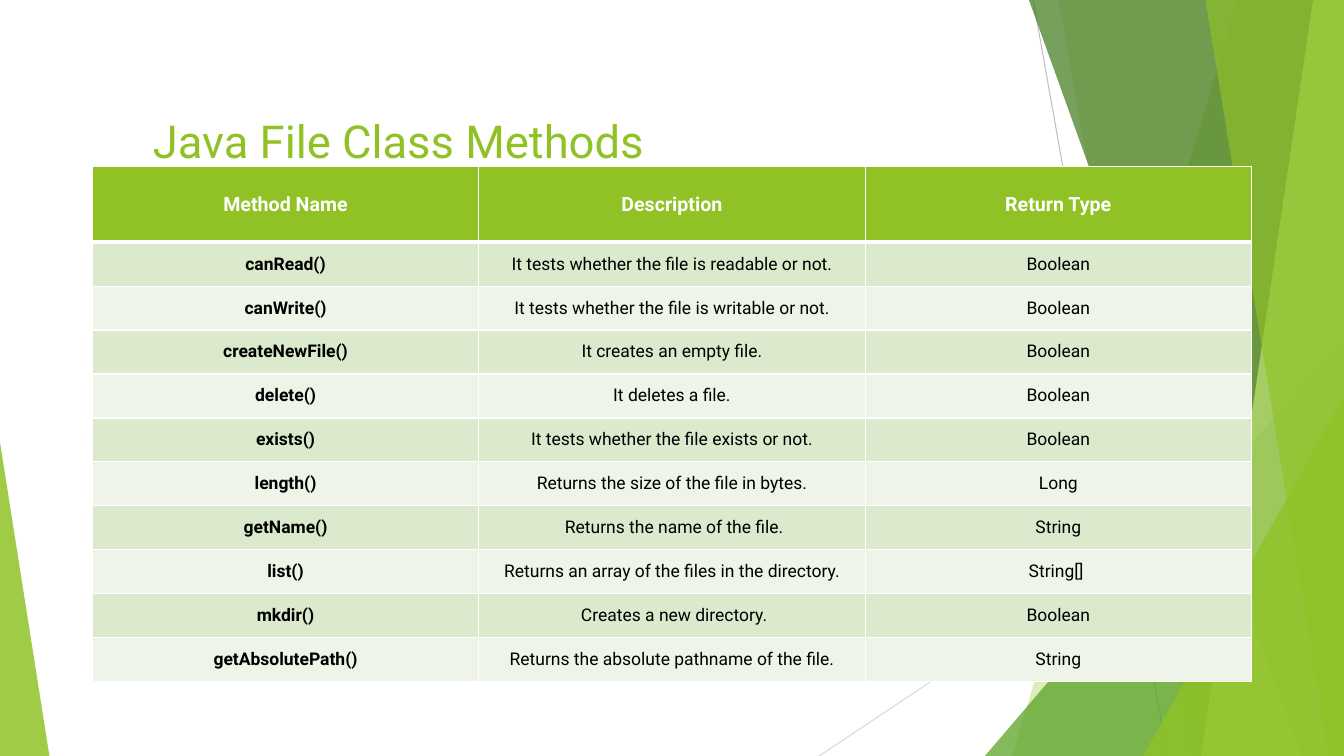
from lxml import etree
from pptx import Presentation
from pptx.dml.color import RGBColor
from pptx.enum.shapes import MSO_CONNECTOR, MSO_SHAPE
from pptx.enum.text import MSO_ANCHOR, MSO_AUTO_SIZE, PP_ALIGN
from pptx.oxml.ns import qn
from pptx.util import Pt

STRAIGHT = MSO_CONNECTOR.STRAIGHT
TRIANGLE = MSO_SHAPE.ISOSCELES_TRIANGLE
TOP, MIDDLE = MSO_ANCHOR.TOP, MSO_ANCHOR.MIDDLE
LEFT, CENTER = PP_ALIGN.LEFT, PP_ALIGN.CENTER
NO_AUTOFIT = MSO_AUTO_SIZE.NONE

WHITE = RGBColor(0xFF, 0xFF, 0xFF)
BLACK = RGBColor(0, 0, 0)
GREEN = RGBColor(0x90, 0xC2, 0x26)
MID_GREEN = RGBColor(0x54, 0xA0, 0x21)
DARK_GREEN = RGBColor(0x3F, 0x78, 0x19)
LIME = RGBColor(0xC0, 0xE4, 0x74)
BAND_DARK = RGBColor(0xDB, 0xE9, 0xCD)
BAND_LIGHT = RGBColor(0xEE, 0xF4, 0xE8)
GREY = RGBColor(0xBF, 0xBF, 0xBF)
LIGHT_GREY = RGBColor(0xD9, 0xD9, 0xD9)

WIDTH, HEIGHT = 960, 540
HEADER_H, ROW_H = 54, 31.4
NBSP = "\u00a0"

HEADERS = ("Method Name", "Description", "Return Type")
METHODS = (
    ("canRead()", NBSP + "It tests whether the file is readable or not." + NBSP, "Boolean"),
    ("canWrite()", "It tests whether the file is writable or not.", "Boolean"),
    ("createNewFile()", "It creates an empty file.", "Boolean"),
    ("delete()", "It deletes a file.", "Boolean"),
    ("exists()", "It tests whether the file exists or not.", "Boolean"),
    ("length()", "Returns the size of the file in bytes.", "Long"),
    ("getName()", NBSP + "Returns the name of the file.", "String"),
    ("list()", "Returns an array of the files in the directory.", "String[]" + NBSP),
    ("mkdir()", NBSP + "Creates a new directory.", "Boolean"),
    ("getAbsolutePath()", "Returns the absolute pathname of the file.", "String"),
)


class SlideBuilder:
    """Holds the style and the current slide."""

    font = "Roboto"

    def __init__(self, s):
        """Keep the slide to draw on."""
        self.s = s

    def style_text(self, tf, size, color, align, bold=False):
        """Format every run of a text frame."""
        for p in tf.paragraphs:
            p.alignment = align
            for r in p.runs:
                r.font.name, r.font.size, r.font.bold = self.font, Pt(size), bold
                r.font.color.rgb = color

    def title(self, text, x, y, w, h):
        """Place and format the title placeholder."""
        sp = self.s.shapes.title
        sp.left, sp.top, sp.width, sp.height = Pt(x), Pt(y), Pt(w), Pt(h)
        tf = sp.text_frame
        tf.text = text
        tf.auto_size = NO_AUTOFIT
        tf.vertical_anchor = TOP
        self.style_text(tf, 32.4, GREEN, LEFT)

    def line(self, x1, y1, x2, y2, color):
        """Draw a thin line without a shadow."""
        sp = self.s.shapes.add_connector(STRAIGHT, Pt(x1), Pt(y1), Pt(x2), Pt(y2))
        sp.line.color.rgb, sp.line.width = color, Pt(0.75)
        etree.SubElement(sp._element.spPr, qn("a:effectLst"))

    def paint(self, sp, color, opacity):
        """Give a shape a see-through fill, no line and no shadow."""
        sp.shadow.inherit = False
        sp.line.fill.background()
        sp.fill.solid()
        sp.fill.fore_color.rgb = color
        rgb = sp._element.spPr.find(qn("a:solidFill"))[0]
        etree.SubElement(rgb, qn("a:alpha")).set("val", str(opacity * 1000))

    def right_panel(self, top_x, bottom_x, color, opacity):
        """Fill from a slanted edge to the right side of the slide."""
        builder = self.s.shapes.build_freeform(Pt(top_x), 0)
        builder.add_line_segments([(Pt(WIDTH), 0), (Pt(WIDTH), Pt(HEIGHT)),
                                   (Pt(bottom_x), Pt(HEIGHT))])
        self.paint(builder.convert_to_shape(), color, opacity)

    def corner(self, x, w, h, apex, color, opacity):
        """Draw a triangle standing on the bottom edge."""
        sp = self.s.shapes.add_shape(TRIANGLE, Pt(x), Pt(HEIGHT - h), Pt(w), Pt(h))
        sp.adjustments[0] = apex
        self.paint(sp, color, opacity)

    def border(self, cell, side, width):
        """Add a white border to one side of a cell."""
        ln = etree.SubElement(cell._tc.get_or_add_tcPr(), qn("a:ln" + side))
        ln.set("w", str(Pt(width)))
        fill = etree.SubElement(ln, qn("a:solidFill"))
        etree.SubElement(fill, qn("a:srgbClr")).set("val", str(WHITE))

    def cell(self, cell, text, row, col):
        """Fill in a cell, styled by its row and column."""
        header = row == 0
        cell.text = text
        cell.vertical_anchor = MIDDLE
        cell.margin_left = cell.margin_right = Pt(6)
        cell.margin_top = cell.margin_bottom = Pt(6 if header else 8)
        for side in "LRTB":
            thick = (header and side == "B") or (row == 1 and side == "T")
            self.border(cell, side, 3 if thick else 1)
        cell.fill.solid()
        band = BAND_DARK if row % 2 else BAND_LIGHT
        cell.fill.fore_color.rgb = GREEN if header else band
        self.style_text(cell.text_frame, 14 if header else 12.5,
                        WHITE if header else BLACK, CENTER, header or col == 0)

    def table(self, rows, x, y, w):
        """Add a table with a tall header and equal columns."""
        cols = len(rows[0])
        h = HEADER_H + ROW_H * (len(rows) - 1)
        table = self.s.shapes.add_table(len(rows), cols, Pt(x), Pt(y), Pt(w), Pt(h)).table
        for i, row in enumerate(rows):
            table.rows[i].height = Pt(ROW_H if i else HEADER_H)
            for j, text in enumerate(row):
                self.cell(table.cell(i, j), text, i, j)


prs = Presentation()
prs.slide_width, prs.slide_height = Pt(WIDTH), Pt(HEIGHT)
slide = SlideBuilder(prs.slides.add_slide(prs.slide_layouts[5]))

slide.line(738, 0, 834, HEIGHT, GREY)
slide.line(WIDTH, 290, 585, HEIGHT, LIGHT_GREY)
slide.right_panel(884, 723, GREEN, 30)
slide.right_panel(756, 852, GREEN, 20)
slide.corner(703.5, 256.5, 300, 1, MID_GREEN, 72)
slide.right_panel(735, 929.5, DARK_GREEN, 70)
slide.right_panel(938, 858, LIME, 70)
slide.right_panel(861, 949, GREEN, 65)
slide.corner(816.5, 143.5, 257, 1, GREEN, 80)
slide.corner(0, 35.3, 224, 0, GREEN, 85)
slide.title("Java File Class Methods", 102, 77, 756, 29.5)
slide.table((HEADERS,) + METHODS, 66, 119, 828)

prs.save("out.pptx")
